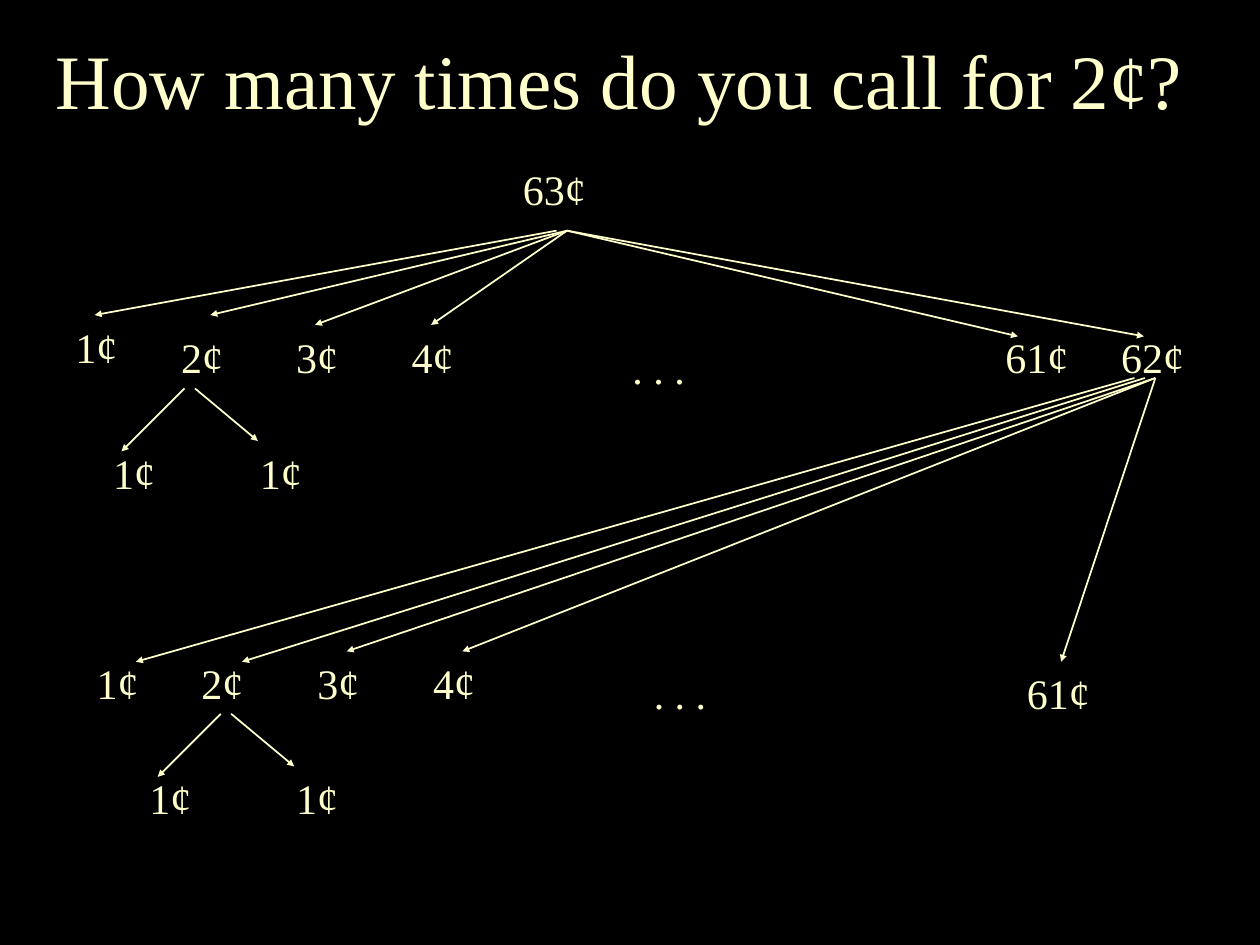
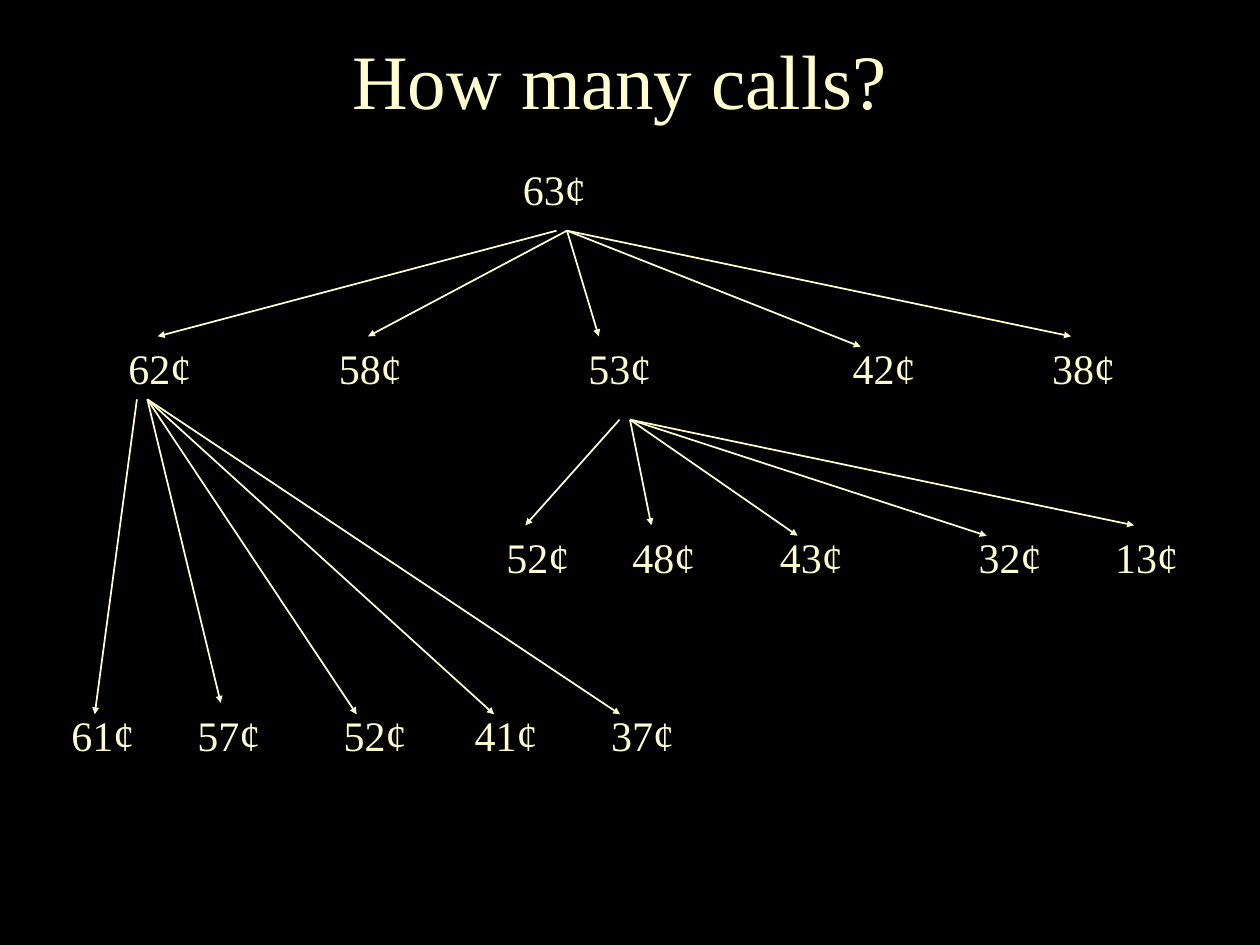
"""Build two slides of call trees for making change."""

from dataclasses import dataclass
from itertools import zip_longest

import pptx
import pptx.dml.color
import pptx.enum.shapes
import pptx.enum.text
import pptx.oxml
import pptx.oxml.ns
import pptx.util
from pptx.util import Cm

BLACK = pptx.dml.color.RGBColor(0x00, 0x00, 0x00)
CREAM = pptx.dml.color.RGBColor(0xFF, 0xFF, 0xCC)
FONT = "Times New Roman"
LABEL_HEIGHT = 1.19
LABEL_WIDTHS = {2: 1.35, 3: 1.78, 5: 1.65}
DOTS = ". . ."


@dataclass(frozen=True)
class Row:
    """Labels sharing a top edge, as (text, left) pairs in centimetres."""

    top: float
    labels: tuple[tuple[str, float], ...]


@dataclass(frozen=True)
class Fan:
    """Arrows leaving one hub; shifts move the starts of the first arrows."""

    x: float
    y: float
    ends: tuple[tuple[float, float], ...]
    shifts: tuple[float, ...] = (-0.21,)


@dataclass(frozen=True)
class Tree:
    """One slide: its title, label rows and arrow fans."""

    title: str
    rows: tuple[Row, ...]
    fans: tuple[Fan, ...]


def pair_row(left: float, top: float) -> Row:
    """Return the two 1¢ calls below a 2¢ call."""
    return Row(top + 1.06, (("1¢", left), ("1¢", left + 2.96)))


def pair_fan(left: float, top: float) -> Fan:
    """Return the two arrows below a 2¢ call."""
    return Fan(left + 1.9, top, ((left + 0.42, top + 1.27), (left + 3.17, top + 1.06)))


ROOT = Row(3.18, (("63¢", 10.29),))
PAIRS = ((2.03, 7.83), (2.76, 14.39))

TREES = (
    Tree(
        "How many times do you call for 2¢?",
        (
            ROOT,
            Row(6.35, (("1¢", 1.27),)),
            Row(6.55, (("2¢", 3.4), ("3¢", 5.72), ("4¢", 8.05), ("61¢", 20.02), ("62¢", 22.35))),
            Row(6.78, ((DOTS, 12.5),)),
            Row(13.13, (("1¢", 1.7), ("2¢", 3.81), ("3¢", 6.15), ("4¢", 8.48))),
            Row(13.34, ((DOTS, 12.93), ("61¢", 20.45))),
            *(pair_row(*pair) for pair in PAIRS),
        ),
        (
            Fan(11.43, 4.65, ((1.91, 6.35), (4.24, 6.35), (6.35, 6.55),
                              (8.69, 6.55), (20.52, 6.78), (23.06, 6.78))),
            Fan(23.29, 7.62, ((2.74, 13.34), (4.88, 13.34), (6.99, 13.13),
                              (9.32, 13.13), (21.39, 13.34)), (-0.42, -0.21)),
            *(pair_fan(*pair) for pair in PAIRS),
        ),
    ),
    Tree(
        "How many calls?",
        (
            ROOT,
            Row(6.78, (("62¢", 2.34), ("58¢", 6.58), ("53¢", 11.61), ("42¢", 16.94), ("38¢", 20.96))),
            Row(10.59, (("52¢", 9.96), ("48¢", 12.5), ("43¢", 15.47), ("32¢", 19.48), ("13¢", 22.23))),
            Row(14.17, (("61¢", 1.19), ("57¢", 3.73), ("52¢", 6.68), ("41¢", 9.32), ("37¢", 12.07))),
        ),
        (
            Fan(11.43, 4.65, ((3.18, 6.78), (7.42, 6.78), (12.07, 6.78),
                              (17.35, 6.99), (21.59, 6.78))),
            Fan(12.7, 8.46, ((10.59, 10.59), (13.13, 10.59), (16.08, 10.8),
                             (19.89, 10.8), (22.86, 10.59))),
            Fan(2.97, 8.05, ((1.91, 14.4), (4.45, 14.17), (7.19, 14.4),
                             (9.96, 14.4), (12.5, 14.4))),
        ),
    ),
)


def write(tf: pptx.text.text.TextFrame, text: str, size: int) -> None:
    """Put one formatted run in a text frame that grows with its text."""
    tf.auto_size = pptx.enum.text.MSO_AUTO_SIZE.SHAPE_TO_FIT_TEXT
    r = tf.paragraphs[0].add_run()
    r.text = text
    r.font.name = FONT
    r.font.size = pptx.util.Pt(size)
    r.font.color.rgb = CREAM


def add_title(slide: pptx.slide.Slide, text: str) -> None:
    """Place and fill the title placeholder."""
    sp = slide.shapes.title
    sp.left, sp.top, sp.width, sp.height = Cm(0.15), Cm(0.59), Cm(24.69), Cm(1.98)
    tf = sp.text_frame
    tf.vertical_anchor = pptx.enum.text.MSO_ANCHOR.MIDDLE
    tf.paragraphs[0].alignment = pptx.enum.text.PP_ALIGN.CENTER
    write(tf, text, 44)


def add_row(slide: pptx.slide.Slide, row: Row) -> None:
    """Draw the labels of one row."""
    for text, left in row.labels:
        sp = slide.shapes.add_textbox(
            Cm(left), Cm(row.top), Cm(LABEL_WIDTHS[len(text)]), Cm(LABEL_HEIGHT))
        sp.text_frame.word_wrap = False
        write(sp.text_frame, text, 24)


def add_fan(slide: pptx.slide.Slide, fan: Fan) -> None:
    """Draw the arrows of one fan."""
    for shift, (x, y) in zip_longest(fan.shifts, fan.ends, fillvalue=0):
        sp = slide.shapes.add_connector(
            pptx.enum.shapes.MSO_CONNECTOR.STRAIGHT,
            Cm(fan.x + shift), Cm(fan.y), Cm(x), Cm(y))
        sp.line.color.rgb = CREAM
        sp.line.width = pptx.util.Pt(1)
        ns = pptx.oxml.ns.nsdecls("a")
        sp.line._get_or_add_ln().append(
            pptx.oxml.parse_xml(f'<a:tailEnd {ns} type="triangle" w="sm" len="sm"/>'))
        sp._element.spPr.append(pptx.oxml.parse_xml(f"<a:effectLst {ns}/>"))


def main() -> None:
    """Build and save the presentation."""
    prs = pptx.Presentation()
    prs.slide_width, prs.slide_height = Cm(25.4), Cm(19.05)
    fill = prs.slide_master.background.fill
    fill.solid()
    fill.fore_color.rgb = BLACK
    layout = prs.slide_layouts.get_by_name("Title Only")
    for tree in TREES:
        slide = prs.slides.add_slide(layout)
        add_title(slide, tree.title)
        for row in tree.rows:
            add_row(slide, row)
        for fan in tree.fans:
            add_fan(slide, fan)
    prs.save("out.pptx")


if __name__ == "__main__":
    main()
